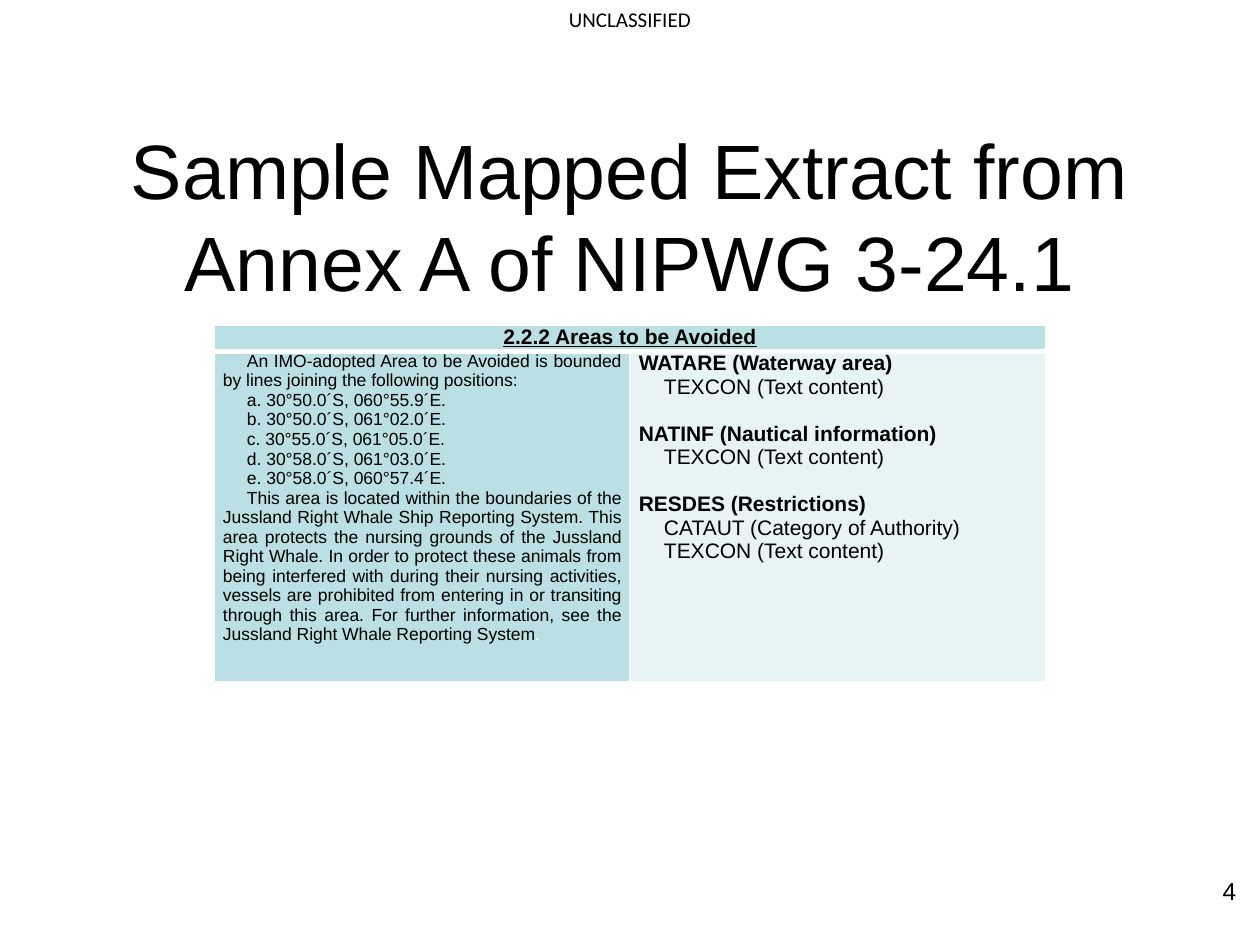
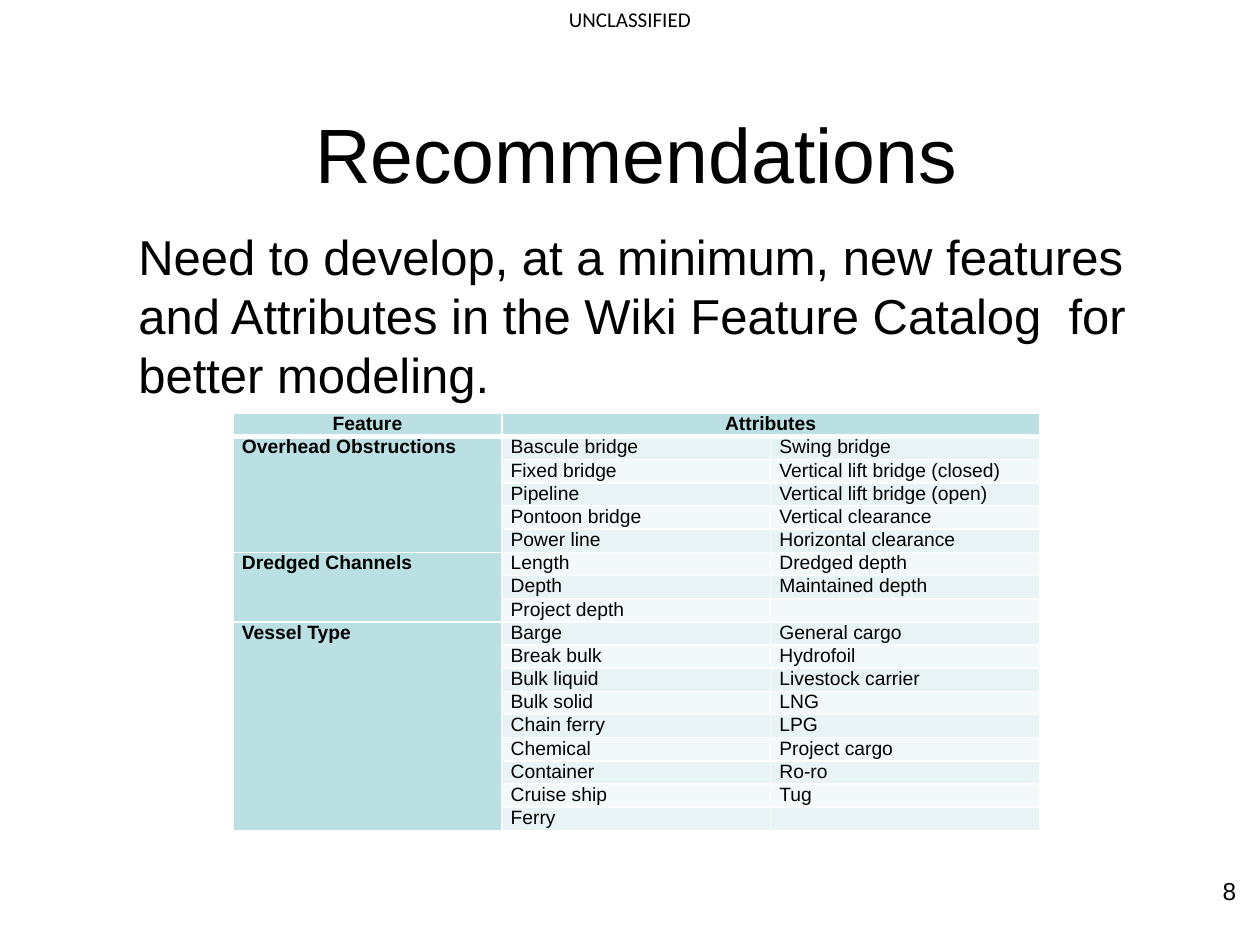
"""Build two slides on mapping sailing-direction text to features and attributes."""
from dataclasses import dataclass

from lxml import etree
from pptx import Presentation
from pptx import util as u
from pptx.dml.color import RGBColor
from pptx.enum import text as t
from pptx.oxml import ns

SLIDE_WIDTH, SLIDE_HEIGHT = u.Inches(10), u.Inches(7.5)
GRID_COLUMNS, GRID_ROWS = 100, 75
BLACK, WHITE = "000000", "FFFFFF"
TEAL, PALE_TEAL, FAINT_TEAL = "BBE0E3", "E7F3F4", "F3F9FA"
LEFT, CENTER, RIGHT, JUSTIFY = (
    t.PP_ALIGN.LEFT, t.PP_ALIGN.CENTER, t.PP_ALIGN.RIGHT, t.PP_ALIGN.JUSTIFY)
GROUP_GAP = 13.5
THIN, THICK = 1, 3


@dataclass(frozen=True)
class Area:
    left: float
    top: float
    width: float
    height: float


@dataclass(frozen=True)
class Line:
    text: str
    size: float
    align: t.PP_ALIGN = LEFT
    bold: bool = False
    underline: bool = False
    margin: float = 0
    first_indent: float = 0
    space_after: float = 0
    font: str = "Arial"


@dataclass(frozen=True)
class Cell:
    lines: list[Line]
    fill: str


PAGE_NUMBER_AREA = Area(75.8, 69, 23.3, 5.2)
MARKING_AREA = Area(0, 0, 100, 3)

POSITIONS = [
    "a. 30°50.0´S, 060°55.9´E.",
    "b. 30°50.0´S, 061°02.0´E.",
    "c. 30°55.0´S, 061°05.0´E.",
    "d. 30°58.0´S, 061°03.0´E.",
    "e. 30°58.0´S, 060°57.4´E.",
]
EXTRACT = [
    "An IMO-adopted Area to be Avoided is bounded by lines joining the following positions:",
    *POSITIONS,
    "This area is located within the boundaries of the Jussland Right Whale Ship Reporting "
    "System. This area protects the nursing grounds of the Jussland Right Whale. In order to "
    "protect these animals from being interfered with during their nursing activities, vessels "
    "are prohibited from entering in or transiting through this area. For further information, "
    "see the Jussland Right Whale Reporting System",
]
MAPPING = {
    "WATARE (Waterway area)": ["TEXCON (Text content)"],
    "NATINF (Nautical information)": ["TEXCON (Text content)"],
    "RESDES (Restrictions)": ["CATAUT (Category of Authority)", "TEXCON (Text content)"],
}
FEATURES = {
    "Overhead Obstructions": [
        ("Bascule bridge", "Swing bridge"),
        ("Fixed bridge", "Vertical lift bridge (closed)"),
        ("Pipeline", "Vertical lift bridge (open)"),
        ("Pontoon bridge", "Vertical clearance"),
        ("Power line", "Horizontal clearance"),
    ],
    "Dredged Channels": [
        ("Length", "Dredged depth"),
        ("Depth", "Maintained depth"),
        ("Project depth", ""),
    ],
    "Vessel Type": [
        ("Barge", "General cargo"),
        ("Break bulk", "Hydrofoil"),
        ("Bulk liquid", "Livestock carrier"),
        ("Bulk solid", "LNG"),
        ("Chain ferry", "LPG"),
        ("Chemical", "Project cargo"),
        ("Container", "Ro-ro"),
        ("Cruise ship", "Tug"),
        ("Ferry", ""),
    ],
}


def color(value: str) -> RGBColor:
    return RGBColor.from_string(value)


def across(columns: float) -> int:
    return round(SLIDE_WIDTH * columns / GRID_COLUMNS)


def down(rows: float) -> int:
    return round(SLIDE_HEIGHT * rows / GRID_ROWS)


def place(area: Area) -> tuple[int, int, int, int]:
    return across(area.left), down(area.top), across(area.width), down(area.height)


def style_run(run, line: Line, ink: str = BLACK) -> None:
    run.font.name = line.font
    run.font.size = u.Pt(line.size)
    run.font.bold = line.bold
    run.font.underline = line.underline
    run.font.color.rgb = color(ink)


def write(text_frame, lines: list[Line]) -> None:
    text_frame.text = "\n".join(line.text for line in lines)
    for paragraph, line in zip(text_frame.paragraphs, lines):
        paragraph.alignment = line.align
        paragraph.space_after = u.Pt(line.space_after)
        properties = paragraph._p.get_or_add_pPr()
        properties.set("marL", str(across(line.margin)))
        properties.set("indent", str(across(line.first_indent)))
        for run in paragraph.runs:
            style_run(run, line)
        if not line.text:
            end = etree.SubElement(paragraph._p, ns.qn("a:endParaRPr"))
            end.set("sz", str(round(line.size * 100)))


def add_text(slide, area: Area, line: Line, anchor=t.MSO_ANCHOR.TOP) -> None:
    text_frame = slide.shapes.add_textbox(*place(area)).text_frame
    text_frame.word_wrap = True
    text_frame.vertical_anchor = anchor
    write(text_frame, [line])


def set_borders(cell, top: float, bottom: float) -> None:
    properties = cell._tc.get_or_add_tcPr()
    for side, points in (("L", THIN), ("R", THIN), ("T", top), ("B", bottom)):
        border = etree.SubElement(properties, ns.qn(f"a:ln{side}"), w=str(u.Pt(points)))
        fill = etree.SubElement(border, ns.qn("a:solidFill"))
        etree.SubElement(fill, ns.qn("a:srgbClr"), val=WHITE)


def add_table(slide, area: Area, rows: list[list[Cell]], heights: list[float]):
    column_count = len(rows[0])
    table = slide.shapes.add_table(len(rows), column_count, *place(area)).table
    table.first_row = table.horz_banding = False
    for column in table.columns:
        column.width = across(area.width / column_count)
    for row_index, (row, height) in enumerate(zip(rows, heights)):
        table.rows[row_index].height = down(height)
        for column_index, content in enumerate(row):
            cell = table.cell(row_index, column_index)
            cell.margin_left = cell.margin_right = across(0.7)
            cell.margin_top = cell.margin_bottom = 0
            set_borders(cell, THICK if row_index == 1 else THIN,
                        THICK if row_index == 0 else THIN)
            cell.fill.solid()
            cell.fill.fore_color.rgb = color(content.fill)
            write(cell.text_frame, content.lines)
    return table


def add_slide(presentation, title: str, title_area: Area, number: int):
    slide = presentation.slides.add_slide(presentation.slide_layouts[6])
    add_text(slide, PAGE_NUMBER_AREA, Line(str(number), 14, RIGHT))
    add_text(slide, MARKING_AREA, Line("UNCLASSIFIED", 12, CENTER, font="Calibri"))
    add_text(slide, title_area, Line(title, 44, CENTER), t.MSO_ANCHOR.MIDDLE)
    return slide


def mapping_lines() -> list[Line]:
    lines = []
    for feature, attributes in MAPPING.items():
        lines.append(Line(feature, 12, bold=True))
        for attribute in attributes:
            gap = GROUP_GAP if attribute == attributes[-1] else 0
            lines.append(Line(attribute, 12, first_indent=2, space_after=gap))
    return lines


def add_extract_slide(presentation) -> None:
    slide = add_slide(presentation, "Sample Mapped Extract from Annex A of NIPWG 3-24.1",
                      Area(5, 10.8, 90, 12.5), 4)
    heading = Line("2.2.2 Areas to be Avoided", 12, CENTER, bold=True, underline=True)
    extract = [Line(text, 10, JUSTIFY, first_indent=1.9) for text in EXTRACT]
    rows = [
        [Cell([heading], TEAL), Cell([Line("", 12)], TEAL)],
        [Cell(extract, TEAL), Cell(mapping_lines(), PALE_TEAL)],
    ]
    table = add_table(slide, Area(17, 25.8, 66, 28.3), rows, [2.1, 26.2])
    table.cell(0, 0).merge(table.cell(0, 1))
    full_stop = table.cell(1, 0).text_frame.paragraphs[-1].add_run()
    full_stop.text = "."
    style_run(full_stop, extract[-1], WHITE)


def add_recommendations_slide(presentation) -> None:
    slide = add_slide(presentation, "Recommendations", Area(5.5, 9.2, 90, 5.8), 8)
    add_text(slide, Area(5, 17.5, 90, 49.5),
             Line("Need to develop, at a minimum, new features and Attributes in the "
                  "Wiki Feature Catalog  for better modeling.", 28, margin=5))
    rows = [[Cell([Line(heading, 11, CENTER, bold=True)], TEAL)
             for heading in ("Feature", "Attributes", "")]]
    spans = []
    for feature, attributes in FEATURES.items():
        spans.append((len(rows), len(rows) + len(attributes) - 1))
        for index, pair in enumerate(attributes):
            name = "" if index else feature
            band = PALE_TEAL if len(rows) % 2 else FAINT_TEAL
            rows.append([Cell([Line(name, 11, bold=True)], TEAL),
                         *(Cell([Line(attribute, 11)], band) for attribute in pair)])
    table = add_table(slide, Area(18.5, 32.8, 64, 30.9), rows, [1.72] * len(rows))
    table.cell(0, 1).merge(table.cell(0, 2))
    for first, last in spans:
        table.cell(first, 0).merge(table.cell(last, 0))


def main() -> None:
    presentation = Presentation()
    presentation.slide_width, presentation.slide_height = SLIDE_WIDTH, SLIDE_HEIGHT
    add_extract_slide(presentation)
    add_recommendations_slide(presentation)
    presentation.save("out.pptx")


if __name__ == "__main__":
    main()
